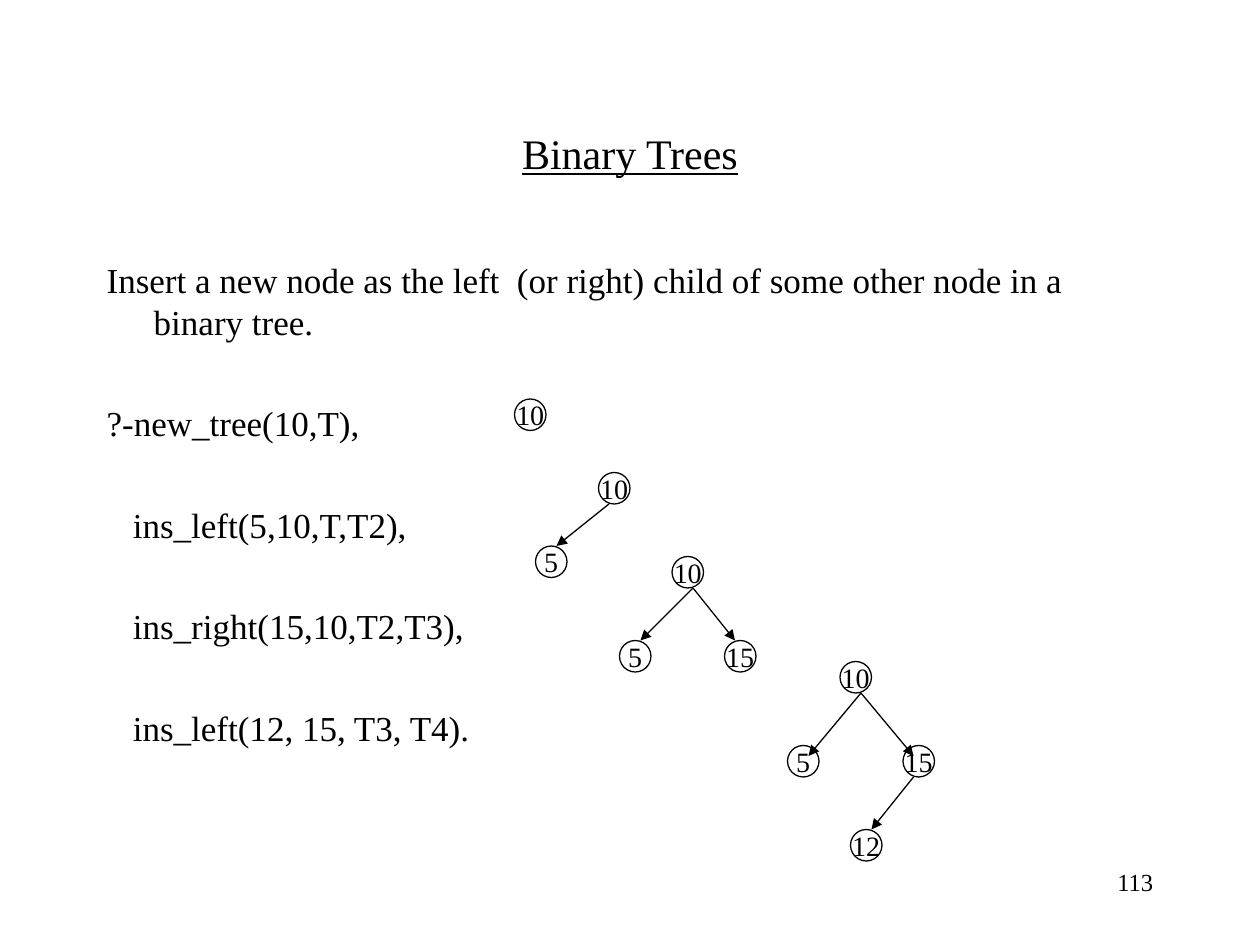
from lxml import etree
from pptx import Presentation
from pptx import util as u
from pptx.dml.color import RGBColor
from pptx.enum import shapes, text
from pptx.oxml.ns import qn

FONT, BLACK, WHITE = "Times New Roman", "000000", "FFFFFF"
TITLE = "Binary Trees"
PAGE = "113"
INTRO = "Insert a new node as the left  (or right) child of some other node in a binary tree."
CODE = [
    "?-new_tree(10,T),",
    "   ins_left(5,10,T,T2),",
    "   ins_right(15,10,T2,T3),",
    "   ins_left(12, 15, T3, T4).",
]

# Trees on a grid of 1/12 inch: label -> (column, row)
GRID = 2.54 / 12
NODE_SIZE = 3
TREES = [
    {"nodes": {"10": (49, 38)}, "children": {}},
    {"nodes": {"10": (57, 45), "5": (51, 52)}, "children": {"10": ["5"]}},
    {"nodes": {"10": (64, 53), "5": (59, 61), "15": (69, 61)},
     "children": {"10": ["5", "15"]}},
    {"nodes": {"10": (80, 63), "5": (75, 71), "15": (86, 71), "12": (81, 79)},
     "children": {"10": ["5", "15"], "15": ["12"]}},
]
ARROW_ROW = {("10", 71): 72}  # these arrows end one row inside the child


def color(hex_value):
    return RGBColor.from_string(hex_value)


def grid(*steps):
    return [u.Cm(step * GRID) for step in steps]


def add_run(paragraph, words, size, underline=None):
    run = paragraph.add_run()
    run.text = words
    run.font.name, run.font.size = FONT, u.Pt(size)
    run.font.color.rgb = color(BLACK)
    run.font.underline = underline


def add_box(slide, left, top, width, height):
    frame = slide.shapes.add_textbox(u.Cm(left), u.Cm(top), u.Cm(width), u.Cm(height)).text_frame
    frame.word_wrap = True
    return frame


def add_node(slide, label, column, row):
    node = slide.shapes.add_shape(shapes.MSO_SHAPE.OVAL,
                                  *grid(column, row, NODE_SIZE, NODE_SIZE))
    node.shadow.inherit = False
    node.fill.solid()
    node.fill.fore_color.rgb = color(WHITE)
    node.line.color.rgb = color(BLACK)
    node.line.width = u.Pt(0.75)
    frame = node.text_frame
    frame.word_wrap = False
    frame.vertical_anchor = text.MSO_ANCHOR.MIDDLE
    frame.paragraphs[0].alignment = text.PP_ALIGN.CENTER
    add_run(frame.paragraphs[0], label, 16)


def add_arrow(slide, start, end):
    arrow = slide.shapes.add_connector(shapes.MSO_CONNECTOR.STRAIGHT, *grid(*start, *end))
    arrow.line.color.rgb = color(BLACK)
    arrow.line.width = u.Pt(0.75)
    etree.SubElement(arrow.line._get_or_add_ln(), qn("a:tailEnd"), type="triangle")
    etree.SubElement(arrow._element.spPr, qn("a:effectLst"))


def add_tree(slide, nodes, children):
    for label, place in nodes.items():
        add_node(slide, label, *place)
    for parent, kids in children.items():
        column, row = nodes[parent]
        start = (column + len(kids), row + NODE_SIZE)
        for kid in kids:
            kid_column, kid_row = nodes[kid]
            inset = 2 if kid_column < column else 1
            end_row = ARROW_ROW.get((parent, kid_row), kid_row)
            add_arrow(slide, start, (kid_column + inset, end_row))


def main():
    deck = Presentation()
    deck.slide_width, deck.slide_height = u.Cm(25.4), u.Cm(19.05)
    slide = deck.slides.add_slide(deck.slide_layouts[6])

    # Title
    heading = add_box(slide, 1.9, 1.48, 21.6, 3.18)
    heading.vertical_anchor = text.MSO_ANCHOR.MIDDLE
    heading.paragraphs[0].alignment = text.PP_ALIGN.CENTER
    add_run(heading.paragraphs[0], TITLE, 24, underline=True)

    # Explanation and query
    body = add_box(slide, 1.9, 5.08, 21.6, 11.85)
    for index, line in enumerate([INTRO, *CODE]):
        paragraph = body.add_paragraph() if index else body.paragraphs[0]
        properties = paragraph._p.get_or_add_pPr()
        properties.set("marL", str(u.Cm(0.95)))
        properties.set("indent", str(u.Cm(-0.95)))
        if index:
            paragraph.space_before = u.Pt(34)
        add_run(paragraph, line, 20)

    # Tree after each step of the query
    for tree in TREES:
        add_tree(slide, **tree)

    # Page number
    footer = add_box(slide, 18.2, 17.36, 5.3, 1.27)
    footer.paragraphs[0].alignment = text.PP_ALIGN.RIGHT
    add_run(footer.paragraphs[0], PAGE, 14)

    deck.save("out.pptx")


if __name__ == "__main__":
    main()
